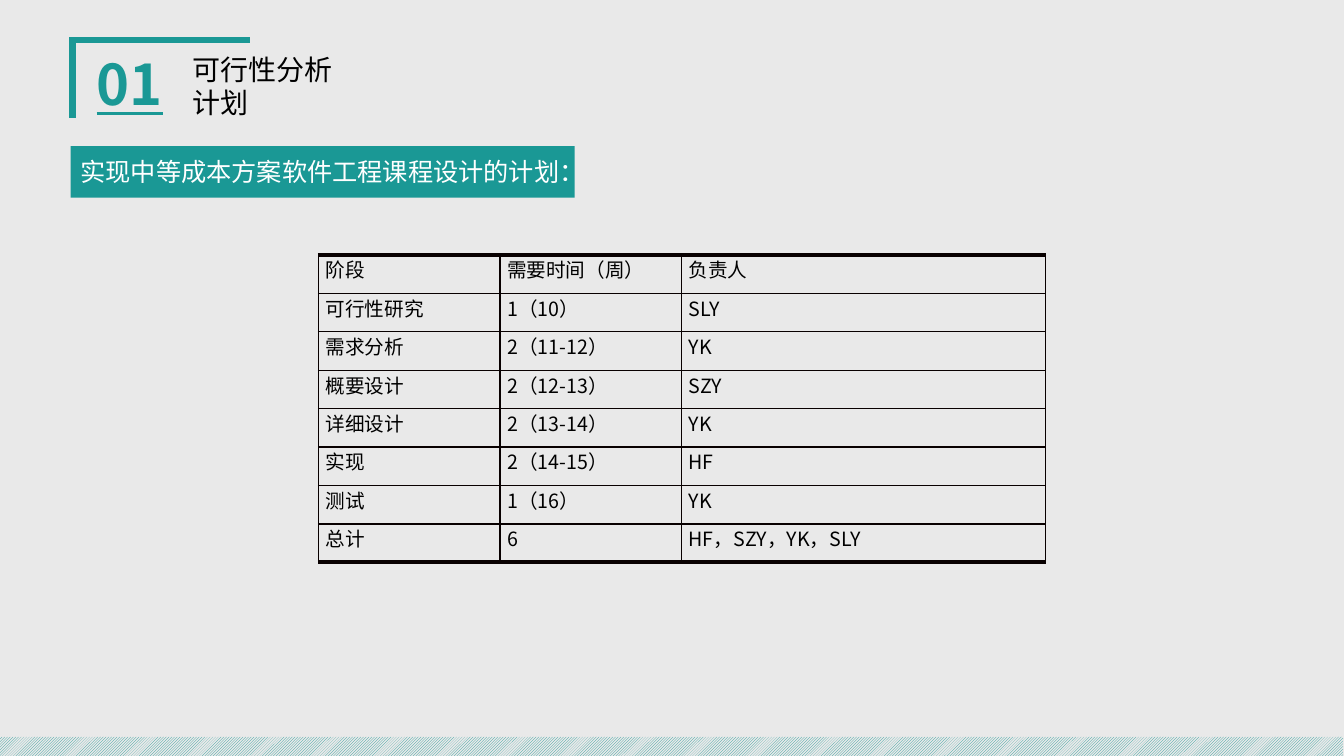
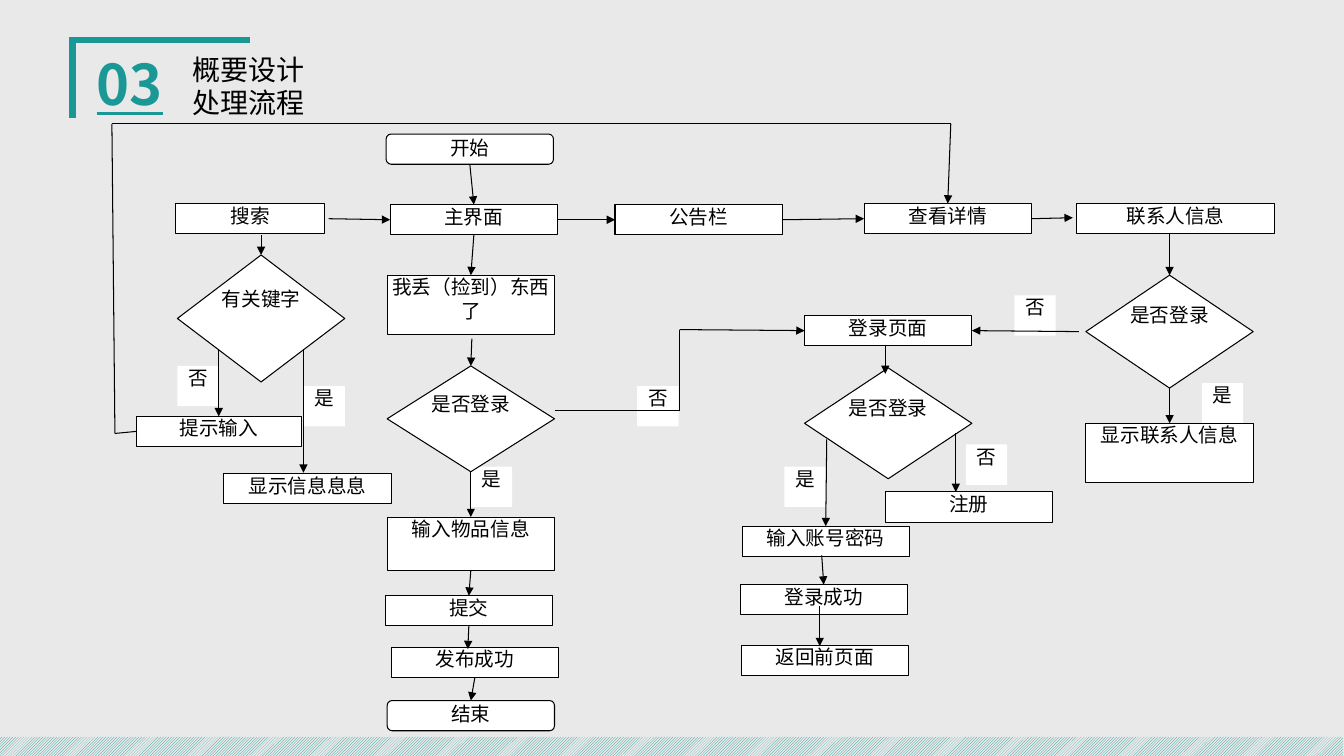
from itertools import pairwise
from lxml.etree import SubElement
from pptx import Presentation
from pptx.dml.color import RGBColor
from pptx.enum.dml import MSO_PATTERN as Pattern
from pptx.enum.shapes import MSO_CONNECTOR as Link, MSO_SHAPE as Shape
from pptx.enum.text import MSO_ANCHOR as Anchor, PP_ALIGN as Align
from pptx.oxml.ns import qn
from pptx.util import Inches, Pt

TEAL, GRAY, WHITE, BLACK, RULE = "1A9895", "E9E9E9", "FFFFFF", "000000", "080000"
SANS, SERIF = "Noto Sans CJK SC", "Times New Roman"

HEADS = [("01", "可行性分析\n计划"), ("03", "概要设计\n处理流程")]
BANNER = "实现中等成本方案软件工程课程设计的计划："
COLS = [1.8, 1.8, 3.61]
ROWS = [
    ("阶段", "需要时间（周）", "负责人"),
    ("可行性研究", "1（10）", "SLY"),
    ("需求分析", "2（11-12）", "YK"),
    ("概要设计", "2（12-13）", "SZY"),
    ("详细设计", "2（13-14）", "YK"),
    ("实现", "2（14-15）", "HF"),
    ("测试", "1（16）", "YK"),
    ("总计", "6", "HF，SZY，YK，SLY"),
]

WIDE, HIGH, TAG = 1.66, 0.3, (0.41, 0.4)
TAGS = [
    ("是", 11.92, 3.8), ("否", 6.32, 3.83), ("否", 9.58, 4.41), ("是", 7.78, 4.63),
    ("否", 10.06, 2.93), ("是", 3.01, 3.83), ("是", 4.67, 4.63), ("否", 1.76, 3.63),
]
ENDS = [("开始", 3.83, 1.33), ("结束", 3.84, 6.95)]
STEPS = [
    ("搜索", 1.74, 2.02, 1.48), ("主界面", 3.87, 2.03), ("公告栏", 6.1, 2.03),
    ("查看详情", 8.57, 2.02), ("联系人信息", 10.68, 2.02, 1.96),
    ("我丢（捡到）东西了", 3.84, 2.73, WIDE, 0.59), ("提示输入", 1.35, 4.13, 1.64),
    ("显示信息息息", 2.22, 4.7), ("输入物品信息", 3.84, 5.13, WIDE, 0.53),
    ("提交", 3.82, 5.91), ("发布成功", 3.88, 6.42), ("登录页面", 7.98, 3.13),
    ("输入账号密码", 7.36, 5.22), ("登录成功", 7.34, 5.8), ("返回前页面", 7.35, 6.4),
    ("注册", 8.78, 4.88), ("显示联系人信息", 10.77, 4.2, WIDE, 0.59),
]
TESTS = [
    ("有关键字", 1.76, 2.53, WIDE, 1.26), ("是否登录", 3.84, 3.63, WIDE, 1.05),
    ("是否登录", 7.98, 3.65, WIDE, 1.1), ("是否登录", 10.77, 2.73, WIDE, 1.12),
]
ROUTES = [
    [(3.26, 2.17), (3.9, 2.17)], [(5.5, 2.17), (6.12, 2.17)],
    [(7.76, 2.16), (8.59, 2.16)], [(10.23, 2.16), (10.64, 2.16)],
    [(10.7, 3.29), (9.66, 3.29)], [(2.59, 2.33), (2.59, 2.53)],
    [(2.17, 3.46), (2.17, 4.13)], [(3.01, 3.46), (3.01, 4.69)],
    [(4.67, 1.63), (4.67, 2.03)], [(4.67, 2.33), (4.67, 2.73)],
    [(4.68, 3.36), (4.68, 3.65)], [(4.65, 4.69), (4.65, 5.13)],
    [(4.66, 5.64), (4.66, 5.94)], [(4.64, 6.2), (4.64, 6.44)],
    [(4.69, 6.7), (4.69, 6.95)], [(8.78, 3.42), (8.78, 3.71)],
    [(8.2, 4.36), (8.2, 5.24)], [(9.48, 4.3), (9.48, 4.88)],
    [(8.15, 5.51), (8.15, 5.8)], [(8.13, 6.01), (8.13, 6.41)],
    [(11.6, 2.31), (11.6, 2.75)], [(11.57, 3.88), (11.57, 4.17)],
    [(5.5, 4.07), (6.74, 4.07), (6.74, 3.27), (7.98, 3.27)],
    [(1.35, 4.3), (1.14, 4.3), (1.11, 1.23), (9.43, 1.23), (9.43, 2.03)],
]


def paint(color, code):
    color.rgb = RGBColor.from_string(code)


def fill(thing, code):
    thing.fill.solid()
    paint(thing.fill.fore_color, code)


def stroke(shape, code, width):
    paint(shape.line.color, code)
    shape.line.width = Pt(width)
    return shape.element.spPr.find(qn("a:ln"))


def write(frame, text, size, code=BLACK, face=SANS, align=Align.LEFT, bold=False):
    frame.text = text
    frame.word_wrap = True
    for para in frame.paragraphs:
        para.alignment = align
        for run in para.runs:
            font = run.font
            font.size, font.name, font.bold, font.underline = Pt(size), face, bold, bold
            paint(font.color, code)
            SubElement(font._element, qn("a:ea"), typeface=SANS)


def block(slide, kind, x, y, w, h, code):
    shape = slide.shapes.add_shape(kind, *map(Inches, (x, y, w, h)))
    shape.shadow.inherit = False
    shape.line.fill.background()
    fill(shape, code)
    return shape


def label(slide, x, y, w, h, text, size, **style):
    box = slide.shapes.add_textbox(*map(Inches, (x, y, w, h)))
    write(box.text_frame, text, size, **style)


def dress(slide, layout):
    pen = slide.shapes.build_freeform(Inches(0.72), Inches(1.17), 1.0)
    pen.add_line_segments([(Inches(0.72), Inches(0.4)), (Inches(2.48), Inches(0.4))], close=False)
    corner = pen.convert_to_shape()
    corner.shadow.inherit = False
    corner.fill.background()
    SubElement(stroke(corner, TEAL, 4.5), qn("a:miter"), lim="800000")
    band = block(slide, Shape.RECTANGLE, -0.03, 7.31, 13.35, 0.22, GRAY)
    band.fill.patterned()
    band.fill.pattern = Pattern.LIGHT_UPWARD_DIAGONAL
    paint(band.fill.fore_color, TEAL)
    paint(band.fill.back_color, GRAY)
    for shape in (corner, band):
        layout.shapes.element.append(shape.element)


def edge(cell, side, width):
    line = SubElement(cell._tc.get_or_add_tcPr(), qn("a:ln" + side), w=str(Pt(width)))
    SubElement(SubElement(line, qn("a:solidFill")), qn("a:srgbClr"), val=RULE)


def plan(slide):
    bar = block(slide, Shape.RECTANGLE, 0.7, 1.45, 5, 0.51, TEAL)
    bar.text_frame.vertical_anchor = Anchor.MIDDLE
    write(bar.text_frame, BANNER, 18, WHITE)
    size = map(Inches, (3.16, 2.53, sum(COLS), 3.05))
    table = slide.shapes.add_table(len(ROWS), len(COLS), *size).table
    table.first_row = table.horz_banding = False
    for col, width in zip(table.columns, COLS):
        col.width = Inches(width)
    for i, row in enumerate(ROWS):
        for j, text in enumerate(row):
            cell = table.cell(i, j)
            cell.margin_left = cell.margin_right = Inches(0.07)
            cell.margin_top = cell.margin_bottom = 0
            write(cell.text_frame, text, 14)
            top = 3 if i == 0 else 1
            base = 3 if i == len(ROWS) - 1 else 1
            for side, width in zip("LRTB", (1, 1, top, base)):
                edge(cell, side, width)
            cell.fill.background()


def node(slide, kind, text, x, y, w=WIDE, h=HIGH):
    shape = block(slide, kind, x, y, w, h, WHITE)
    frame = shape.text_frame
    frame.margin_left = frame.margin_right = frame.margin_top = frame.margin_bottom = 0
    frame.vertical_anchor = Anchor.TOP
    write(frame, text, 14, face=SERIF, align=Align.CENTER)
    return shape


def port(nodes, point):
    x, y = map(Inches, point)
    near = Inches(0.03)
    for shape in nodes:
        left, top, w, h = shape.left, shape.top, shape.width, shape.height
        sides = [(left + w / 2, top), (left, top + h / 2),
                 (left + w / 2, top + h), (left + w, top + h / 2)]
        for i, (a, b) in enumerate(sides):
            if abs(a - x) <= near and abs(b - y) <= near:
                return shape, i
    return None


def join(slide, nodes, start, stop, arrow):
    line = slide.shapes.add_connector(Link.STRAIGHT, *map(Inches, start + stop))
    for attach, point in ((line.begin_connect, start), (line.end_connect, stop)):
        spot = port(nodes, point)
        if spot:
            attach(*spot)
    ln = stroke(line, BLACK, 0.75)
    if arrow:
        SubElement(ln, qn("a:tailEnd"), type="triangle")
    SubElement(line.element.spPr, qn("a:effectLst"))


def flow(slide):
    for tag in TAGS:
        node(slide, Shape.RECTANGLE, *tag, *TAG)
    kinds = [(Shape.FLOWCHART_ALTERNATE_PROCESS, ENDS), (Shape.FLOWCHART_PROCESS, STEPS),
             (Shape.FLOWCHART_DECISION, TESTS)]
    nodes = [node(slide, kind, *item) for kind, items in kinds for item in items]
    for shape in nodes:
        stroke(shape, BLACK, 0.75)
    for route in ROUTES:
        for start, stop in pairwise(route):
            join(slide, nodes, start, stop, stop == route[-1])


def main():
    deck = Presentation()
    deck.slide_width, deck.slide_height = Inches(13.33), Inches(7.5)
    fill(deck.slide_master.background, GRAY)
    layout = deck.slide_layouts[6]
    slides = [deck.slides.add_slide(layout) for _ in HEADS]
    dress(slides[0], layout)
    for slide, (number, title), body in zip(slides, HEADS, (plan, flow)):
        label(slide, 0.86, 0.44, 0.95, 0.77, number, 40, code=TEAL, bold=True)
        label(slide, 1.81, 0.47, 2.4, 0.77, title, 20)
        body(slide)
    deck.save("out.pptx")


if __name__ == "__main__":
    main()
